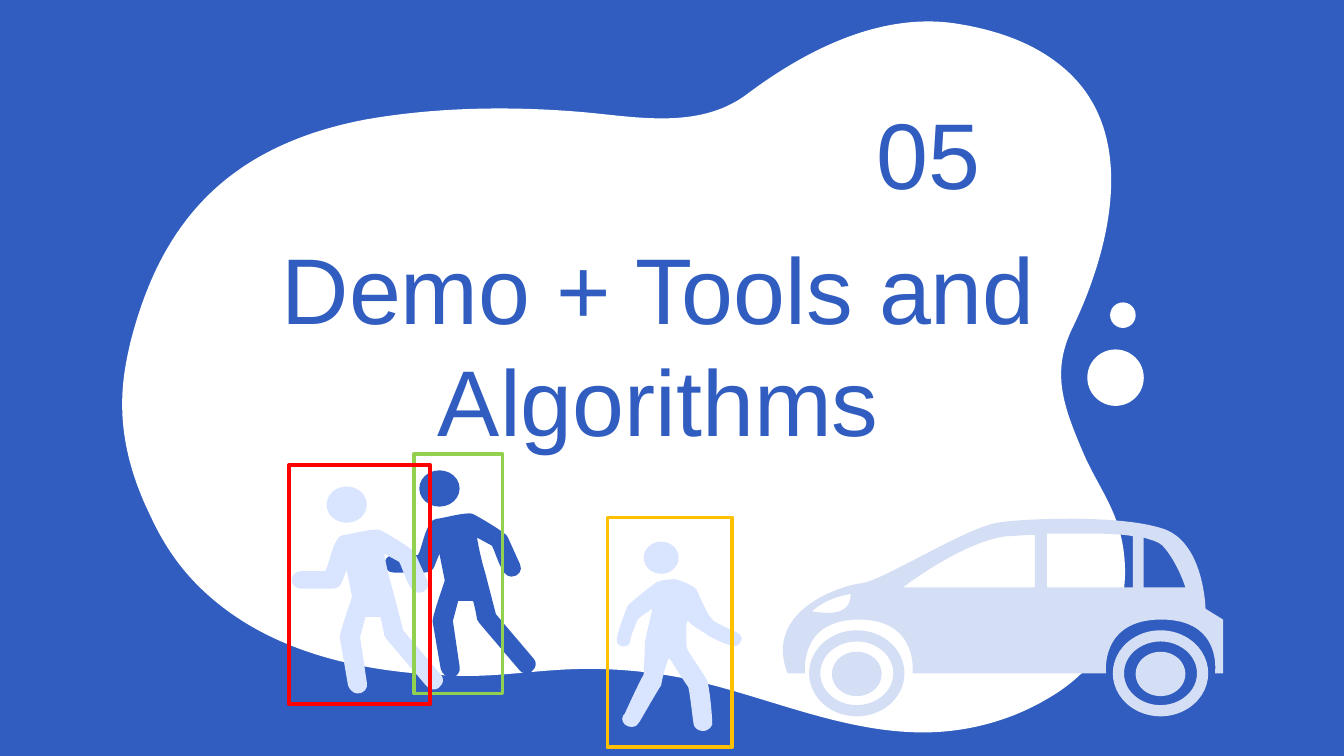
from lxml.etree import SubElement
from pptx import Presentation
from pptx.dml.color import RGBColor
from pptx.enum.shapes import MSO_SHAPE as SHAPE
from pptx.enum.text import MSO_ANCHOR as ANCHOR, PP_ALIGN as ALIGN
from pptx.oxml.ns import qn
from pptx.util import Emu, Pt

PX = 9144
BLUE = RGBColor(0x30, 0x5D, 0xBF)
WHITE = RGBColor(0xFF, 0xFF, 0xFF)
PALE_BLUE = RGBColor(0xD9, 0xE5, 0xFF)
CAR_BLUE = RGBColor(0xD4, 0xDE, 0xF4)
RED = RGBColor(0xFF, 0x00, 0x00)
GREEN = RGBColor(0x92, 0xD0, 0x50)
AMBER = RGBColor(0xFF, 0xC0, 0x00)

CLOUD = """M 793 52 C 775 36 750 24 714 18 C 657 8 600 37 556 70
C 519 98 469 86 428 83 C 377 79 323 80 272 89 C 167 109 119 168 97 255
C 91 281 82 323 112 384 C 123 408 137 427 155 443 C 201 484 267 502 348 503
C 373 503 399 499 425 498 C 451 497 478 499 505 504 C 566 516 624 545 687 545
C 720 545 753 536 781 519 C 817 498 839 462 837 420 C 835 382 818 365 806 337
C 791 302 782 277 798 244 C 819 201 853 105 793 52"""

CAR_BODY = """M 283 14 L 283 51 L 314 51 C 314 51 308 32 297 20 C 294 17 289 16 283 14
M 235 11 C 227 11 218 11 211 11 L 211 51 L 275 51 L 275 13 C 264 11 249 11 235 11
M 202 12 C 194 12 187 13 181 13 C 148 17 104 51 104 51 L 202 51
M 65 56 C 65 56 48 58 36 69 C 36 69 42 70 48 70 C 56 70 65 68 65 56
M 229 0 C 254 0 280 2 296 7 C 328 16 329 67 329 67 L 342 75 L 342 115 L 336 115
C 336 115 342 75 296 75 C 250 75 255 115 255 115 L 111 115 C 111 115 116 75 71 75
C 26 75 31 115 31 115 L 18 115 C 0 69 56 50 73 48 C 89 46 150 7 174 3
C 186 1 207 0 229 0"""

WALKER_BODY = """M 65 32 C 66 32 68 32 69 33 C 71 34 94 47 94 50 L 103 70
C 105 74 102 79 97 79 L 96 79 C 89 79 85 61 82 56 L 71 50 C 72 57 75 70 77 76
L 85 107 L 113 140 C 117 144 113 151 108 151 C 105 151 103 150 102 148 L 73 114
C 72 113 72 112 71 111 C 71 111 70 104 68 97 L 57 97 L 53 112 L 58 146
C 59 150 56 154 51 154 C 48 154 45 151 44 148 L 38 113 C 37 111 44 91 47 82
L 43 62 L 39 72 C 38 74 36 76 32 76 L 9 76 C 0 76 0 63 9 63 L 27 63
C 30 59 33 36 41 36 C 44 36 58 32 65 32"""

CROSSER_BODY = """M 50 46 C 52 46 66 51 67 55 C 68 58 75 74 79 77 C 82 79 90 83 95 85
C 97 86 100 88 100 90 C 100 93 97 96 94 96 C 93 96 92 95 91 95 C 86 94 77 89 75 88
C 73 86 63 81 61 78 C 61 77 61 77 60 77 C 60 77 59 77 59 78 C 58 83 59 95 59 97
C 59 99 70 114 74 121 C 76 126 78 148 78 154 C 77 157 74 159 71 159
C 67 159 64 156 64 153 C 63 146 61 128 60 126 C 59 125 50 111 47 106
C 47 105 46 105 46 105 C 45 105 45 105 45 106 C 43 111 40 123 40 125
C 39 126 28 145 24 152 C 23 154 21 156 18 156 C 14 156 11 153 11 150
C 11 148 12 147 13 146 C 16 139 26 118 27 117 C 27 116 28 94 28 92 L 33 70
C 34 69 33 68 32 68 L 32 69 C 27 72 22 76 22 77 C 22 78 17 88 17 92
C 17 95 14 96 12 96 C 9 96 7 94 7 92 L 7 90 C 8 83 15 66 15 66
C 15 65 35 49 37 48 C 39 47 47 46 50 46"""


def px(length):
    """Turn px into EMU."""
    return Emu(round(length * PX))


def contours(outline):
    """Split an outline into lists of points, one for each contour."""
    result = []
    for contour in outline.split("M")[1:]:
        numbers = [int(token) for token in contour.split() if token not in "LC"]
        result.append(list(zip(numbers[::2], numbers[1::2])))
    return result


def bend(shape, outline):
    """Join each three segments that belong to a C command into one curve."""
    drawing = next(shape.element.iter(qn("a:path")))
    segments = iter(drawing.findall(qn("a:lnTo")))
    for command in outline.split():
        if command == "L":
            next(segments)
        elif command == "C":
            controls = [next(segments) for _ in range(3)]
            curve = SubElement(drawing, qn("a:cubicBezTo"))
            controls[0].addprevious(curve)
            for segment in controls:
                curve.append(segment[0])
                drawing.remove(segment)


def paint(shape, color):
    """Give a shape a plain fill with no line or shadow."""
    shape.shadow.inherit = False
    shape.fill.solid()
    shape.fill.fore_color.rgb = color
    shape.line.fill.background()


def add_outline(slide, origin, outline, color):
    """Draw a filled outline relative to an origin."""
    first, *others = contours(outline)
    builder = slide.shapes.build_freeform(*first[0], scale=PX)
    builder.add_line_segments(first[1:], close=True)
    for contour in others:
        builder.move_to(*contour[0])
        builder.add_line_segments(contour[1:], close=True)
    shape = builder.convert_to_shape(px(origin[0]), px(origin[1]))
    bend(shape, outline)
    paint(shape, color)


def add_round(slide, left, top, width, height, color, kind=SHAPE.OVAL):
    """Draw a filled oval or ring and return it."""
    shape = slide.shapes.add_shape(kind, px(left), px(top), px(width), px(height))
    paint(shape, color)
    return shape


def add_text(slide, text, box, *, size=50, color=BLUE, font="Arial", align=ALIGN.CENTER):
    """Place wrapped, vertically centred text in a box."""
    frame = slide.shapes.add_textbox(*map(px, box)).text_frame
    frame.word_wrap = True
    frame.vertical_anchor = ANCHOR.MIDDLE
    frame.margin_left = frame.margin_right = px(10)
    frame.margin_top = frame.margin_bottom = px(10)
    paragraph = frame.paragraphs[0]
    paragraph.alignment = align
    run = paragraph.add_run()
    run.text = text
    run.font.size, run.font.name = Pt(size), font
    run.font.color.rgb = color


def add_cloud(slide, left, top):
    """Draw the white cloud and its two dots."""
    add_outline(slide, (left, top), CLOUD, WHITE)
    for x, y, size in ((809, 260, 42), (826, 225, 19)):
        add_round(slide, left + x, top + y, size, size, WHITE)


def add_car(slide, left, top):
    """Draw the car with its two wheels."""
    for x in (34, 260):
        add_round(slide, left + x + 17, top + 99, 37, 33, CAR_BLUE)
        tyre = add_round(slide, left + x, top + 83, 71, 64, CAR_BLUE, SHAPE.DONUT)
        tyre.adjustments[0] = 0.13
    add_outline(slide, (left, top), CAR_BODY, CAR_BLUE)


def add_person(slide, left, top, head, body, color):
    """Draw a figure from a head box and a body outline."""
    x, y, width, height = head
    add_round(slide, left + x, top + y, width, height, color)
    add_outline(slide, (left, top), body, color)


def add_detection(slide, box, color):
    """Draw a detection frame."""
    frame = slide.shapes.add_shape(SHAPE.RECTANGLE, *map(px, box))
    frame.shadow.inherit = False
    frame.fill.background()
    frame.line.color.rgb = color
    frame.line.width = Pt(2)


def main():
    """Build the section slide."""
    deck = Presentation()
    deck.slide_width = px(1000)
    deck.slide_height = px(562.5)
    slide = deck.slides.add_slide(deck.slide_layouts[6])
    slide.background.fill.solid()
    slide.background.fill.fore_color.rgb = BLUE

    add_cloud(slide, 0, 0)
    add_text(slide, "Demo + Tools and Algorithms", (166, 209, 648, 92))
    add_text(slide, "05", (627, 67, 128, 92))
    add_car(slide, 568, 386)
    add_person(slide, 452, 385, (27, 18, 26, 24), CROSSER_BODY, PALE_BLUE)
    add_detection(slide, (452, 385, 93, 171), AMBER)
    for left, top, color in ((284, 350, BLUE), (215, 362, PALE_BLUE)):
        add_person(slide, left, top, (28, 0, 30, 27), WALKER_BODY, color)
    add_detection(slide, (308, 338, 66, 178), GREEN)
    add_detection(slide, (215, 346, 105, 178), RED)
    deck.save("out.pptx")


if __name__ == "__main__":
    main()
